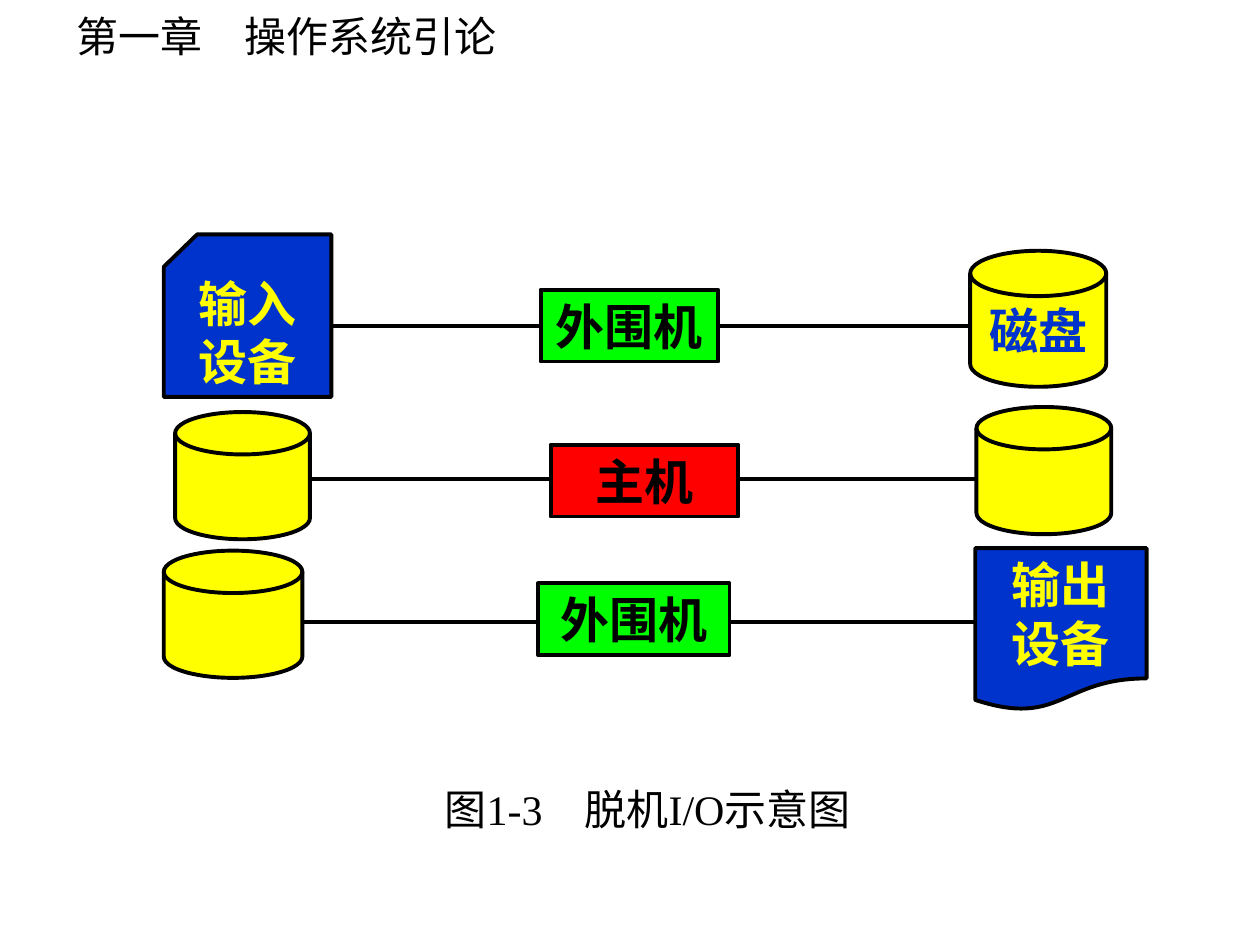
from collections import namedtuple

from lxml.etree import SubElement
from pptx import Presentation
from pptx.dml.color import RGBColor
from pptx.enum.shapes import MSO_CONNECTOR, MSO_SHAPE as Shape
from pptx.enum.text import MSO_ANCHOR as Anchor, MSO_AUTO_SIZE, PP_ALIGN as Align
from pptx.oxml.ns import qn
from pptx.util import Inches, Pt

BLACK = RGBColor(0x00, 0x00, 0x00)
BLUE = RGBColor(0x00, 0x33, 0xCC)
YELLOW = RGBColor(0xFF, 0xFF, 0x00)
GREEN = RGBColor(0x00, 0xFF, 0x00)
RED = RGBColor(0xFF, 0x00, 0x00)
HAN_FONT = "Noto Sans CJK SC"
LATIN_FONT = "Times New Roman"
LINE_WIDTH = Pt(2.25)

Box = namedtuple("Box", "left top width height")
# A device's left and top are measured from the corner of its row.
Device = namedtuple("Device", "kind box fill label ink", defaults=("", BLACK))


def add_span(para, text, size, font=HAN_FONT, color=BLACK, bold=False):
    span = para.add_run()
    span.text = text
    span.font.size = Pt(size)
    span.font.bold = bold
    span.font.name = font
    span.font.color.rgb = color
    east_asian = SubElement(span.font._element, qn("a:ea"))
    east_asian.set("typeface", HAN_FONT)


def set_single_line(frame):
    """Keep the text on one line, starting at the top left of its box."""
    frame.word_wrap = False
    frame.auto_size = MSO_AUTO_SIZE.NONE
    frame.vertical_anchor = Anchor.TOP
    frame.paragraphs[0].alignment = Align.LEFT


def add_chapter_title(page, box):
    title = page.shapes.title
    title.left, title.top, title.width, title.height = map(Inches, box)
    set_single_line(title.text_frame)
    add_span(title.text_frame.paragraphs[0], "第一章　操作系统引论", 24)


def add_caption(page, box):
    caption = page.shapes.add_textbox(*map(Inches, box))
    set_single_line(caption.text_frame)
    para = caption.text_frame.paragraphs[0]
    for text, font in (
        ("图", HAN_FONT),
        ("1-3", LATIN_FONT),
        ("　脱机", HAN_FONT),
        ("I/O", LATIN_FONT),
        ("示意图", HAN_FONT),
    ):
        add_span(para, text, 24, font)


def add_device(page, row_left, row_top, device):
    box = device.box
    shape = page.shapes.add_shape(
        device.kind,
        Inches(row_left + box.left), Inches(row_top + box.top),
        Inches(box.width), Inches(box.height),
    )
    shape.shadow.inherit = False
    shape.fill.solid()
    shape.fill.fore_color.rgb = device.fill
    shape.line.color.rgb = BLACK
    shape.line.width = LINE_WIDTH
    if device.label:
        frame = shape.text_frame
        frame.word_wrap = True
        frame.vertical_anchor = Anchor.MIDDLE
        para = frame.paragraphs[0]
        para.alignment = Align.CENTER
        add_span(para, device.label, 28, LATIN_FONT, device.ink, bold=True)


def add_wire(page, start, end, height):
    wire = page.shapes.add_connector(
        MSO_CONNECTOR.STRAIGHT,
        Inches(start), Inches(height), Inches(end), Inches(height),
    )
    wire.line.color.rgb = BLACK
    wire.line.width = LINE_WIDTH
    SubElement(wire._element.spPr, qn("a:effectLst"))


def add_row(page, left, top, wire_offset, devices):
    """Place devices from left to right and wire each one to the next."""
    for device in devices:
        add_device(page, left, top, device)
    for source, target in zip(devices, devices[1:]):
        start = left + source.box.left + source.box.width
        add_wire(page, start, left + target.box.left, top + wire_offset)


def add_diagram(page, left, top):
    disk = Shape.FLOWCHART_MAGNETIC_DISK
    add_row(page, left, top, 0.73, [
        Device(Shape.FLOWCHART_CARD, Box(0, 0, 1.33, 1.29), BLUE, "输入设备", YELLOW),
        Device(Shape.RECTANGLE, Box(2.99, 0.44, 1.41, 0.57), GREEN, "外围机"),
        Device(disk, Box(6.4, 0.13, 1.08, 1.08), YELLOW, "磁盘", BLUE),
    ])
    add_row(page, left, top + 1.37, 0.57, [
        Device(disk, Box(0.09, 0.04, 1.07, 1.01), YELLOW),
        Device(Shape.RECTANGLE, Box(3.07, 0.3, 1.49, 0.57), RED, "主机"),
        Device(disk, Box(6.45, 0, 1.07, 1.01), YELLOW),
    ])
    add_row(page, left, top + 2.49, 0.59, [
        Device(disk, Box(0, 0.02, 1.1, 1.01), YELLOW),
        Device(Shape.RECTANGLE, Box(2.97, 0.28, 1.52, 0.57), GREEN, "外围机"),
        Device(Shape.FLOWCHART_DOCUMENT, Box(6.44, 0, 1.36, 1.29), BLUE,
               "输出设备", YELLOW),
    ])


def main():
    deck = Presentation()
    deck.slide_width, deck.slide_height = Inches(10), Inches(7.5)
    page = deck.slides.add_slide(deck.slide_layouts.get_by_name("Title Only"))
    add_chapter_title(page, Box(0.51, 0.03, 3.61, 0.5))
    add_caption(page, Box(3.43, 6.17, 3.81, 0.5))
    add_diagram(page, 1.3, 1.86)
    deck.save("out.pptx")


if __name__ == "__main__":
    main()
